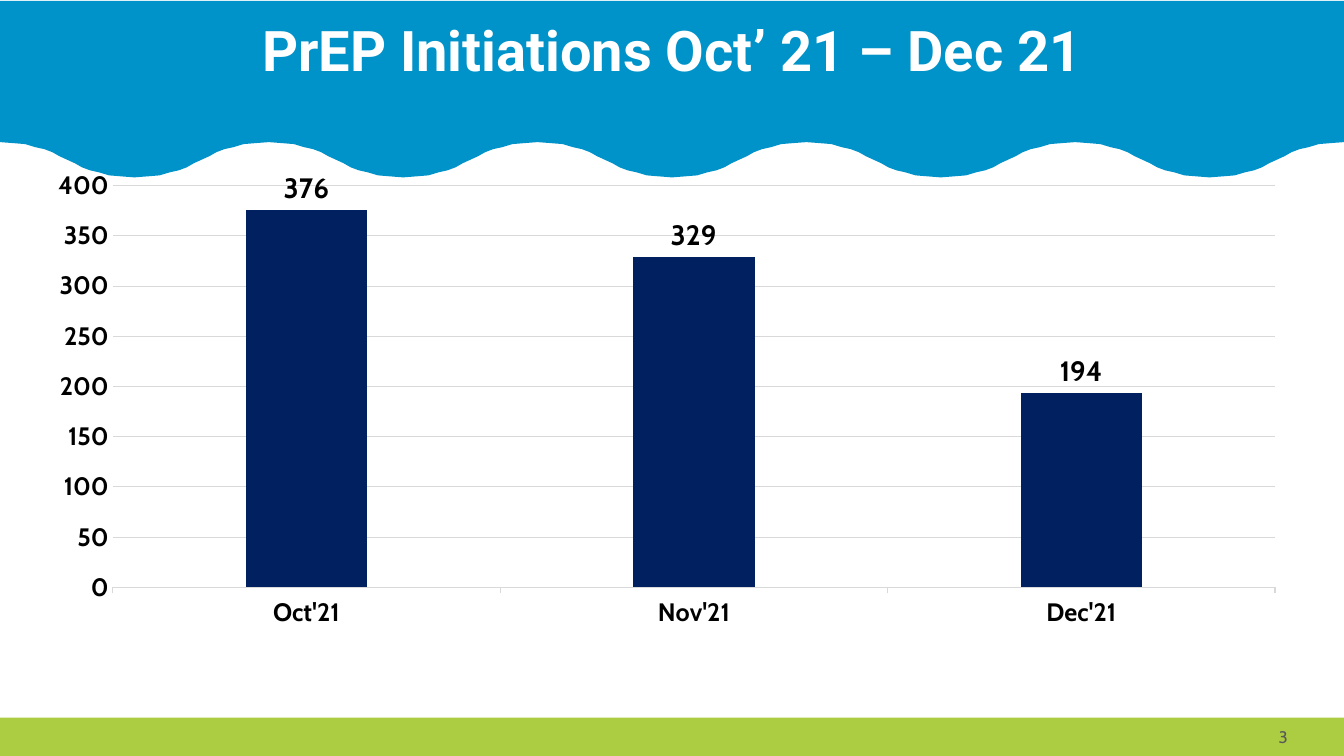
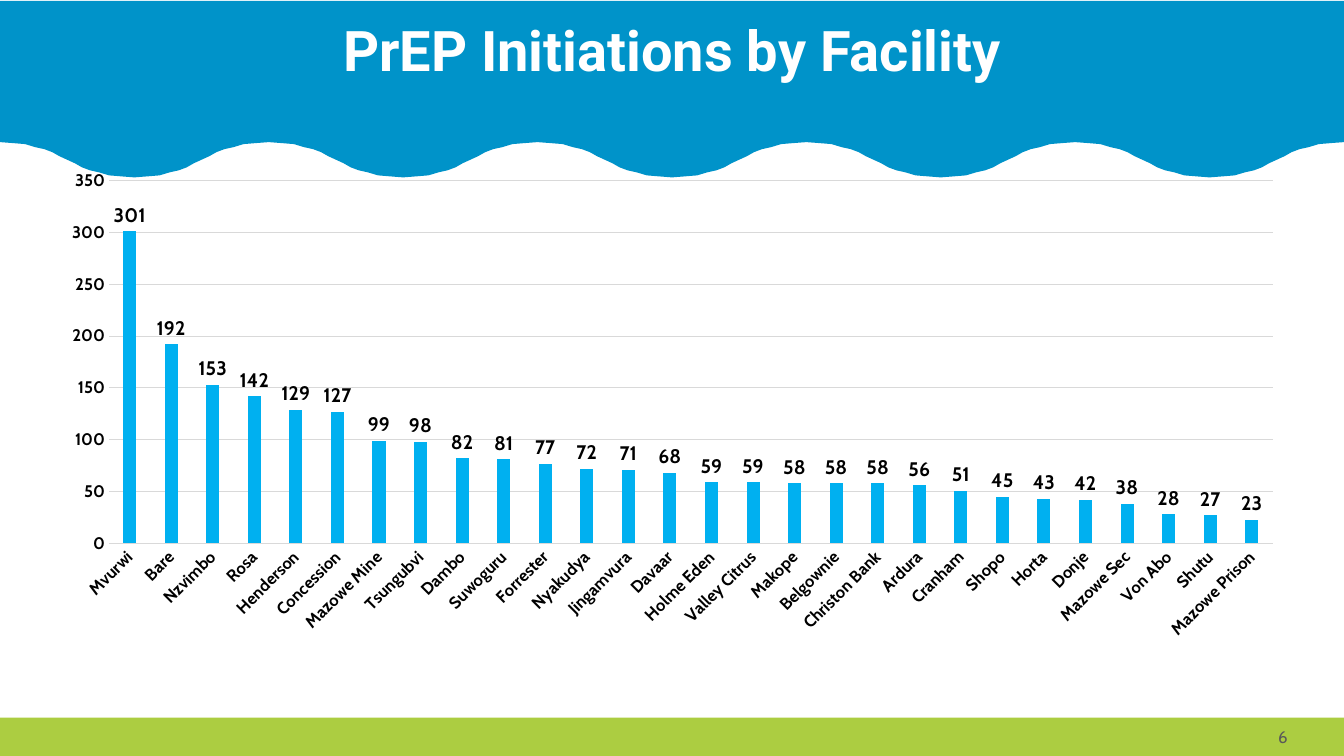
import pptx
import pptx.chart.data
import pptx.dml.color
import pptx.enum.chart
import pptx.enum.shapes
import pptx.enum.text
import pptx.oxml
import pptx.oxml.ns
import pptx.util

Inches = pptx.util.Inches
WIDTH, HEIGHT = 13.33, 7.5
MARGIN = 0.46
CONTENT_WIDTH = WIDTH - 2 * MARGIN
FOOTER_HEIGHT = 0.38
FOOTER_TOP = HEIGHT - FOOTER_HEIGHT
CHART_BOTTOM = 6.43

WAVES = 5
BAND_TOP, CREST, WAVE_DEPTH = 0.01, 1.41, 0.35
QUARTER = WIDTH / WAVES / 4
QUARTER_CURVE = [(0, 0), (0.13, 0.01), (0.25, 0.02), (0.35, 0.05),
                 (0.44, 0.07), (0.52, 0.1), (0.59, 0.14), (QUARTER, WAVE_DEPTH / 2)]

COLORS = {
    "band": "0093C9", "footer": "ACCD41", "title": "FFFFFF", "number": "595959",
    "text": "000000", "line": "D9D9D9", "navy": "002060", "sky": "00B0F0",
}
TITLE_FONT, BODY_FONT = "Roboto", "Cabin"

MONTHS = {"Oct'21": 376, "Nov'21": 329, "Dec'21": 194}
FACILITIES = {
    "Mvurwi": 301, "Bare": 192, "Nzvimbo": 153, "Rosa": 142, "Henderson": 129,
    "Concession": 127, "Mazowe Mine": 99, "Tsungubvi": 98, "Dambo": 82,
    "Suwoguru": 81, "Forrester": 77, "Nyakudya": 72, "Jingamvura": 71,
    "Davaar": 68, "Holme Eden": 59, "Valley Citrus": 59, "Makope": 58,
    "Belgownie": 58, "Christon Bank": 58, "Ardura": 56, "Cranham": 51,
    "Shopo": 45, "Horta": 43, "Donje": 42, "Mazowe Sec": 38, "Von Abo": 28,
    "Shutu": 27, "Mazowe Prison": 23,
}


def color(name):
    """Return the named colour."""
    return pptx.dml.color.RGBColor.from_string(COLORS[name])


def paint(shape, fill):
    """Give a shape a plain fill without outline or shadow."""
    shape.shadow.inherit = False
    shape.fill.solid()
    shape.fill.fore_color.rgb = color(fill)
    shape.line.fill.background()


def style_font(font, size, fill="text", name=BODY_FONT, bold=True):
    """Set the face, size, weight and colour of a font."""
    font.name, font.size, font.bold = name, pptx.util.Pt(size), bold
    font.color.rgb = color(fill)


def add_text(slide, text, box, align="LEFT", anchor="TOP", spacing=1.0, **font_format):
    """Add a wrapped text box with one formatted paragraph."""
    frame = slide.shapes.add_textbox(*map(Inches, box)).text_frame
    frame.word_wrap = True
    frame.vertical_anchor = getattr(pptx.enum.text.MSO_ANCHOR, anchor)
    paragraph = frame.paragraphs[0]
    paragraph.alignment = getattr(pptx.enum.text.PP_ALIGN, align)
    paragraph.line_spacing = spacing
    run = paragraph.add_run()
    run.text = text
    style_font(run.font, **font_format)


def wave_points():
    """Return the wavy edge from left to right, mirroring one quarter wave."""
    points = []
    for index in range(4 * WAVES):
        start = index * QUARTER
        falling_away = index % 2 == 0
        upper = index % 4 in (0, 3)
        curve = QUARTER_CURVE if falling_away else QUARTER_CURVE[::-1]
        for across, down in curve:
            x = start + (across if falling_away else QUARTER - across)
            points.append((x, CREST + (down if upper else WAVE_DEPTH - down)))
    return points


def add_band(slide):
    """Draw the header band with its wavy lower edge."""
    outline = [*wave_points(), (WIDTH, BAND_TOP)]
    builder = slide.shapes.build_freeform(0, Inches(BAND_TOP))
    builder.add_line_segments([(Inches(x), Inches(y)) for x, y in outline], close=True)
    paint(builder.convert_to_shape(), "band")


def add_frame(presentation, title, number):
    """Add a slide with footer bar, header band, title and slide number."""
    slide = presentation.slides.add_slide(presentation.slide_layouts[6])
    footer_box = map(Inches, (0, FOOTER_TOP, WIDTH, FOOTER_HEIGHT))
    paint(slide.shapes.add_shape(pptx.enum.shapes.MSO_SHAPE.RECTANGLE, *footer_box), "footer")
    add_band(slide)
    add_text(slide, title, (MARGIN, 0.18, CONTENT_WIDTH, 1.2), align="CENTER",
             spacing=0.9, size=40, fill="title", name=TITLE_FONT)
    number_width = 3.71
    add_text(slide, number, (WIDTH - MARGIN - number_width, FOOTER_TOP, number_width, FOOTER_HEIGHT),
             align="RIGHT", anchor="MIDDLE", size=12, fill="number", bold=False)
    return slide


def set_plot_layout(chart, shares):
    """Place the inner plot area at shares of the chart's size."""
    values = "".join(f'<c:{tag} val="{share}"/>' for tag, share in zip("xywh", shares))
    layout = pptx.oxml.parse_xml(
        f'<c:layout {pptx.oxml.ns.nsdecls("c")}><c:manualLayout>'
        '<c:layoutTarget val="inner"/><c:xMode val="edge"/><c:yMode val="edge"/>'
        f'{values}</c:manualLayout></c:layout>')
    plot_area = chart._chartSpace.chart.plotArea
    for old in plot_area.findall(pptx.oxml.ns.qn("c:layout")):
        plot_area.remove(old)
    plot_area.insert(0, layout)


def style_axes(chart, size, maximum, tick, rotation):
    """Format both axes and the gridlines."""
    marks = pptx.enum.chart.XL_TICK_MARK
    category, value = chart.category_axis, chart.value_axis
    for axis in (category, value):
        style_font(axis.tick_labels.font, size)
        axis.minor_tick_mark = marks.NONE
    category.major_tick_mark = getattr(marks, tick)
    value.major_tick_mark = marks.NONE
    value.minimum_scale, value.maximum_scale, value.major_unit = 0, maximum, 50
    value.has_major_gridlines = True
    value.format.line.fill.background()
    for line in (category.format.line, value.major_gridlines.format.line):
        line.color.rgb = color("line")
        line.width = pptx.util.Pt(0.75)
    body = category._element.find(pptx.oxml.ns.qn("c:txPr")).find(pptx.oxml.ns.qn("a:bodyPr"))
    body.set("rot", str(rotation * 60000))


def add_columns(slide, values, top, layout, fill, size, label_size, maximum,
                tick="NONE", rotation=0):
    """Add a column chart with value labels above the columns."""
    data = pptx.chart.data.CategoryChartData()
    data.categories = list(values)
    data.add_series("Series 1", list(values.values()))
    chart = slide.shapes.add_chart(
        pptx.enum.chart.XL_CHART_TYPE.COLUMN_CLUSTERED,
        *map(Inches, (MARGIN, top, CONTENT_WIDTH, CHART_BOTTOM - top)), data).chart
    chart.has_legend = chart.has_title = False
    style_font(chart.font, size)
    plot = chart.plots[0]
    plot.gap_width, plot.overlap, plot.vary_by_categories = 219, -27, False
    series = plot.series[0]
    series.format.fill.solid()
    series.format.fill.fore_color.rgb = color(fill)
    plot.has_data_labels = True
    labels = plot.data_labels
    labels.show_value = True
    labels.position = pptx.enum.chart.XL_LABEL_POSITION.OUTSIDE_END
    style_font(labels.font, label_size)
    style_axes(chart, size, maximum, tick, rotation)
    set_plot_layout(chart, layout)


def main():
    """Build and save the presentation."""
    presentation = pptx.Presentation()
    presentation.slide_width, presentation.slide_height = Inches(WIDTH), Inches(HEIGHT)
    slide = add_frame(presentation, "PrEP Initiations Oct’ 21 – Dec 21", "3")
    add_columns(slide, MONTHS, top=1.69, layout=(0.053, 0.031, 0.929, 0.842), fill="navy",
                size=18, label_size=20, maximum=400, tick="OUTSIDE")
    slide = add_frame(presentation, "PrEP Initiations by Facility", "6")
    add_columns(slide, FACILITIES, top=1.6, layout=(0.05, 0.04, 0.93, 0.745), fill="sky",
                size=12, label_size=14, maximum=350, rotation=-45)
    presentation.save("out.pptx")


if __name__ == "__main__":
    main()
